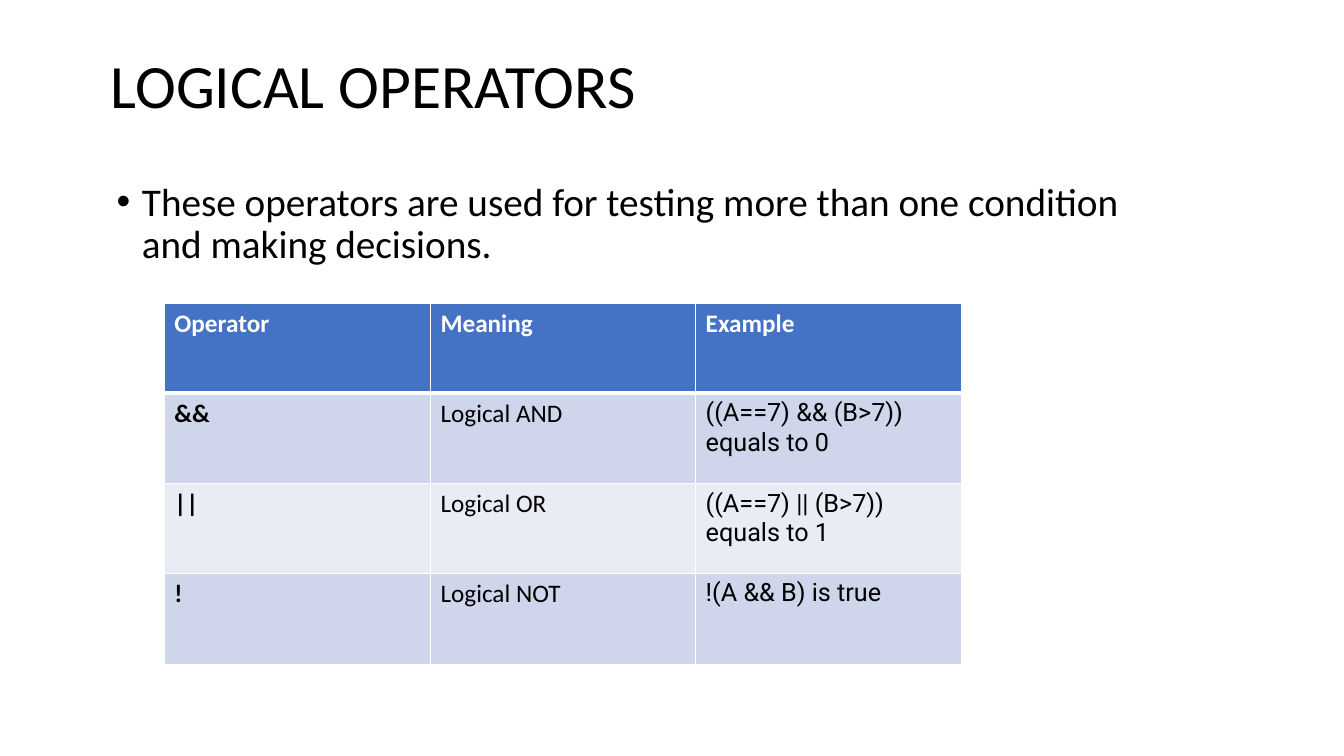
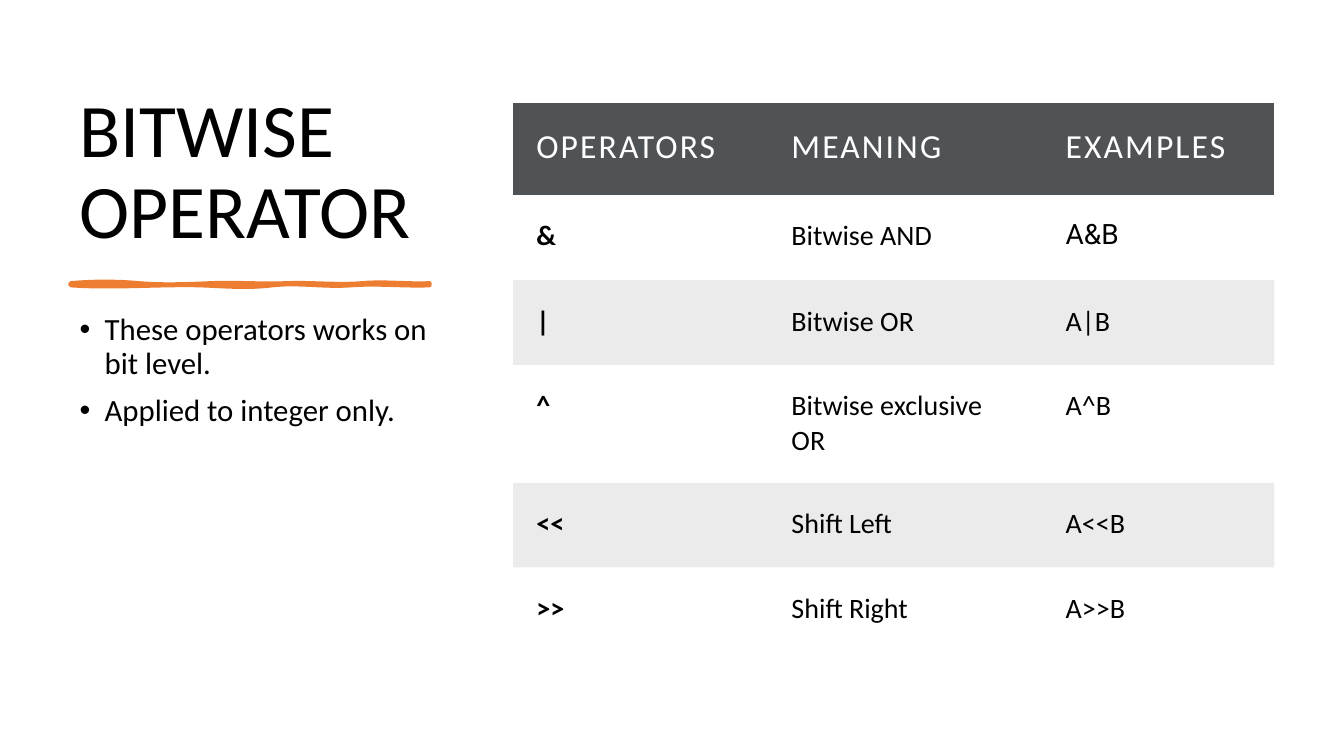
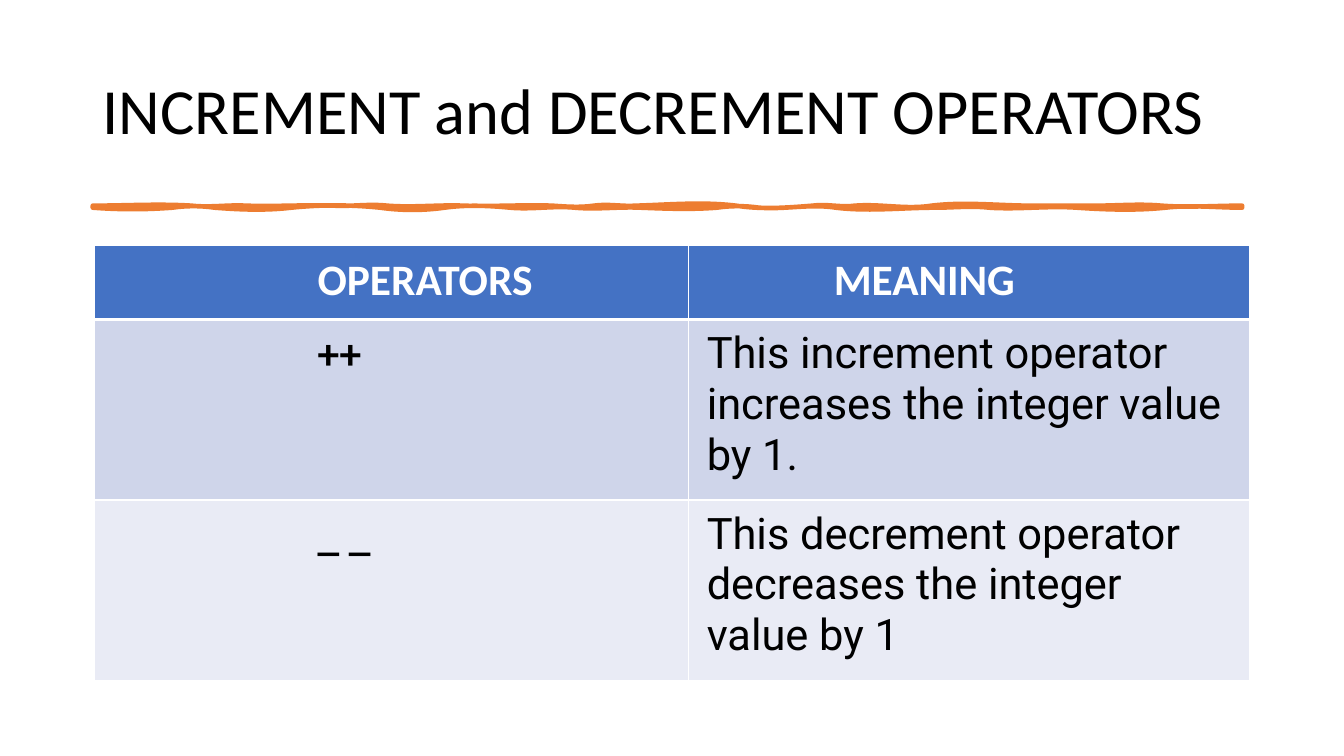
from dataclasses import dataclass

from lxml import etree
from pptx import Presentation
from pptx.dml.color import RGBColor
from pptx.enum.text import MSO_ANCHOR
from pptx.oxml.ns import qn
from pptx.util import Pt

SCALE = 9144
TOP, MIDDLE, BOTTOM = MSO_ANCHOR.TOP, MSO_ANCHOR.MIDDLE, MSO_ANCHOR.BOTTOM
BLACK = RGBColor(0x00, 0x00, 0x00)
WHITE = RGBColor(0xFF, 0xFF, 0xFF)
BLUE = RGBColor(0x44, 0x72, 0xC4)
BLUE_MID = RGBColor(0xCF, 0xD5, 0xEA)
BLUE_PALE = RGBColor(0xE9, 0xEB, 0xF5)
SLATE = RGBColor(0x50, 0x53, 0x56)
ORANGE = RGBColor(0xED, 0x7D, 0x31)
MAIN_FONT, CODE_FONT = "Calibri", "Roboto"
PLAIN_TABLE = "{2D5ABB26-0587-4C30-8999-92F81FD0307C}"


@dataclass
class TableLook:
    """Colours, sizes and margins of one kind of table."""

    header: RGBColor
    bands: tuple
    size: int
    header_size: int
    margins: tuple
    header_bold: bool = True
    header_spacing: int = 0
    ruled: bool = True
    band_alpha: int = 100


BLUE_LOOK = TableLook(BLUE, (BLUE_MID, BLUE_PALE), 18, 18, (10, 5))
LARGE_LOOK = TableLook(BLUE, (BLUE_MID, BLUE_PALE), 31, 31, (18, 9))
SLATE_LOOK = TableLook(SLATE, (None, BLACK), 20, 24, (23, 24), False, 150, False, 8)


def px(length):
    """Turn px into EMU."""
    return round(length * SCALE)


def add_run(para, text, size, color=BLACK, bold=False, font=MAIN_FONT):
    """Add a styled run to a paragraph."""
    run = para.add_run()
    run.text = text
    run.font.size = Pt(size)
    run.font.name = font
    run.font.bold = bold
    run.font.color.rgb = color
    return run


def add_box(page, place, anchor):
    """Add an empty wrapping text box and return its text frame."""
    frame = page.shapes.add_textbox(*map(px, place)).text_frame
    frame.word_wrap = True
    frame.vertical_anchor = anchor
    return frame


def add_title(page, place, text, size, anchor=MIDDLE):
    """Add a slide title."""
    para = add_box(page, place, anchor).paragraphs[0]
    para.line_spacing = 0.9
    add_run(para, text, size)


def add_bullets(page, place, items, size):
    """Add a bulleted list."""
    frame = add_box(page, place, TOP)
    for index, item in enumerate(items):
        para = frame.add_paragraph() if index else frame.paragraphs[0]
        para.line_spacing = 0.9
        para.space_before = Pt(10)
        add_run(para, item, size)
        props = para._p.get_or_add_pPr()
        props.set("marL", str(px(25)))
        props.set("indent", str(px(-25)))
        etree.SubElement(props, qn("a:buFont")).set("typeface", "Arial")
        etree.SubElement(props, qn("a:buChar")).set("char", "•")


def bend_edges(shape, knots):
    """Turn the straight segments between knots of x, y and tilt into curves."""
    left, top, _ = knots[0]
    segments = shape.element.findall(".//" + qn("a:lnTo"))
    for segment, start, end in zip(segments, knots, knots[1:]):
        (x1, y1, lead), (x2, y2, trail) = start, end
        if x1 == x2:
            continue
        third = (x2 - x1) / 3
        controls = ((x1 + third, y1 + lead), (x2 - third, y2 - trail), (x2, y2))
        curve = etree.Element(qn("a:cubicBezTo"))
        for x, y in controls:
            point = etree.SubElement(curve, qn("a:pt"))
            point.set("x", str(px(x - left)))
            point.set("y", str(px(y - top)))
        segment.getparent().replace(segment, curve)


def add_brush_line(page, level, upper, lower, weight):
    """Add a hand-drawn rule from the x and tilt of its two edges."""
    knots = [(x, level, tilt) for x, tilt in upper]
    knots += [(x, level + 2, tilt) for x, tilt in lower]
    points = [(px(x), px(y)) for x, y, _ in knots]
    builder = page.shapes.build_freeform(*points[0], scale=1.0)
    builder.add_line_segments(points[1:], close=True)
    shape = builder.convert_to_shape()
    bend_edges(shape, knots)
    shape.shadow.inherit = False
    shape.fill.solid()
    shape.fill.fore_color.rgb = ORANGE
    shape.line.color.rgb = ORANGE
    shape.line.width = Pt(weight)
    etree.SubElement(shape.line._get_or_add_ln(), qn("a:round"))


def rule_cell(cell, row):
    """Give a cell white borders, heavier under the header row."""
    props = cell._tc.get_or_add_tcPr()
    weights = {"L": 1, "R": 1, "T": 3 if row == 1 else 1, "B": 1 if row else 3}
    for side, weight in weights.items():
        line = etree.SubElement(props, qn("a:ln" + side), w=str(Pt(weight)))
        fill = etree.SubElement(line, qn("a:solidFill"))
        etree.SubElement(fill, qn("a:srgbClr")).set("val", str(WHITE))


def color_cell(cell, color, alpha):
    """Fill a cell, or leave it clear when there is no colour."""
    if color is None:
        cell.fill.background()
        return
    cell.fill.solid()
    cell.fill.fore_color.rgb = color
    if alpha < 100:
        tint = cell._tc.tcPr.find(qn("a:solidFill") + "/" + qn("a:srgbClr"))
        etree.SubElement(tint, qn("a:alpha")).set("val", str(alpha * 1000))


def fill_cell(cell, text, look, row, column, font):
    """Write and colour one table cell."""
    side, edge = look.margins
    cell.margin_left = cell.margin_right = px(side)
    cell.margin_top = cell.margin_bottom = px(edge)
    if look.ruled:
        rule_cell(cell, row)
    para = cell.text_frame.paragraphs[0]
    if row:
        color_cell(cell, look.bands[(row - 1) % 2], look.band_alpha)
        add_run(para, text, look.size, BLACK, column == 0, font)
    else:
        color_cell(cell, look.header, 100)
        run = add_run(para, text, look.header_size, WHITE, look.header_bold)
        run._r.get_or_add_rPr().set("spc", str(look.header_spacing))


def add_grid(page, left, top, widths, heights, rows, look, code_cells):
    """Add a table whose code_cells (row, column) use the second font."""
    frame = page.shapes.add_table(
        len(heights), len(widths), px(left), px(top), px(sum(widths)), px(sum(heights))
    )
    frame.element.find(".//" + qn("a:tableStyleId")).text = PLAIN_TABLE
    table = frame.table
    for column, width in zip(table.columns, widths):
        column.width = px(width)
    for line, height in zip(table.rows, heights):
        line.height = px(height)
    for row, texts in enumerate(rows):
        for column, text in enumerate(texts):
            font = CODE_FONT if (row, column) in code_cells else MAIN_FONT
            fill_cell(table.cell(row, column), text, look, row, column, font)
    return table


def build_logical(page):
    """Build the logical operators slide."""
    add_title(page, (100, 40, 1163, 96), "LOGICAL OPERATORS", 44)
    add_bullets(page, (106, 176, 1070, 532), [
        "These operators are used for testing more than one condition and making decisions.",
    ], 28)
    rows = [
        ("Operator", "Meaning", "Example"),
        ("&&", "Logical AND", "((A==7) && (B>7)) equals to 0"),
        ("||", "Logical OR", "((A==7) || (B>7)) equals to 1"),
        ("!", "Logical NOT", "!(A && B) is true"),
    ]
    code_cells = {(row, 2) for row in range(1, len(rows))}
    heights = [89, 90, 89, 90]
    add_grid(page, 163, 301, [264, 263, 264], heights, rows, BLUE_LOOK, code_cells)


def build_bitwise(page):
    """Build the bitwise operator slide."""
    add_title(page, (69, 70, 375, 188), "BITWISE OPERATOR", 54, BOTTOM)
    upper = [(70, -2), (138, 2), (209, -1), (284, -1), (359, -2), (426, -1)]
    lower = [(426, 1), (348, 2), (270, 3), (199, -1), (70, -3)]
    add_brush_line(page, 281, upper, lower, 3)
    add_bullets(page, (69, 307, 375, 373), [
        "These operators works on bit level.",
        "Applied to integer only.",
    ], 22)
    rows = [
        ("OPERATORS", "MEANING", "EXAMPLES"),
        ("&", "Bitwise AND", "A&B"),
        ("|", "Bitwise OR", "A|B"),
        ("^", "Bitwise exclusive OR", "A^B"),
        ("<<", "Shift Left", "A<<B"),
        (">>", "Shift Right", "A>>B"),
    ]
    heights = [91, 85, 84, 117, 84, 84]
    add_grid(page, 509, 102, [253, 272, 230], heights, rows, SLATE_LOOK, {(1, 2)})


def build_increment(page):
    """Build the increment and decrement operators slide."""
    add_title(page, (92, 40, 1150, 145), "INCREMENT and DECREMENT OPERATORS", 46)
    upper = [
        (92, 0), (190, 2), (244, 1), (331, 1), (384, 2), (460, 1),
        (548, 1), (589, -2), (631, -1), (730, 4), (806, -2), (848, -2),
        (924, -4), (1023, 0), (1087, 0), (1152, 2), (1232, 0),
    ]
    lower = [
        (1232, 0), (1156, 3), (1068, -2), (981, -2), (928, 0), (829, -4),
        (753, -2), (711, 2), (635, -1), (570, -2), (506, -2), (441, 3),
        (377, -3), (289, 3), (213, -2), (171, 2), (92, -2),
    ]
    add_brush_line(page, 204, upper, lower, 3.25)
    rows = [
        ("OPERATORS", "MEANING"),
        ("++", "This increment operator increases the integer value by 1."),
        ("_ _", "This decrement operator decreases the integer value by 1"),
    ]
    table = add_grid(
        page, 94, 243, [589, 556], [74, 179, 179], rows, LARGE_LOOK, {(1, 1), (2, 1)}
    )
    for row in range(len(rows)):
        table.cell(row, 0).margin_left = px(221)
    table.cell(0, 1).margin_left = px(144)


def main():
    """Build and save the deck."""
    deck = Presentation()
    deck.slide_width, deck.slide_height = px(1333), px(750)
    for build in (build_logical, build_bitwise, build_increment):
        build(deck.slides.add_slide(deck.slide_layouts[6]))
    deck.save("out.pptx")


if __name__ == "__main__":
    main()
